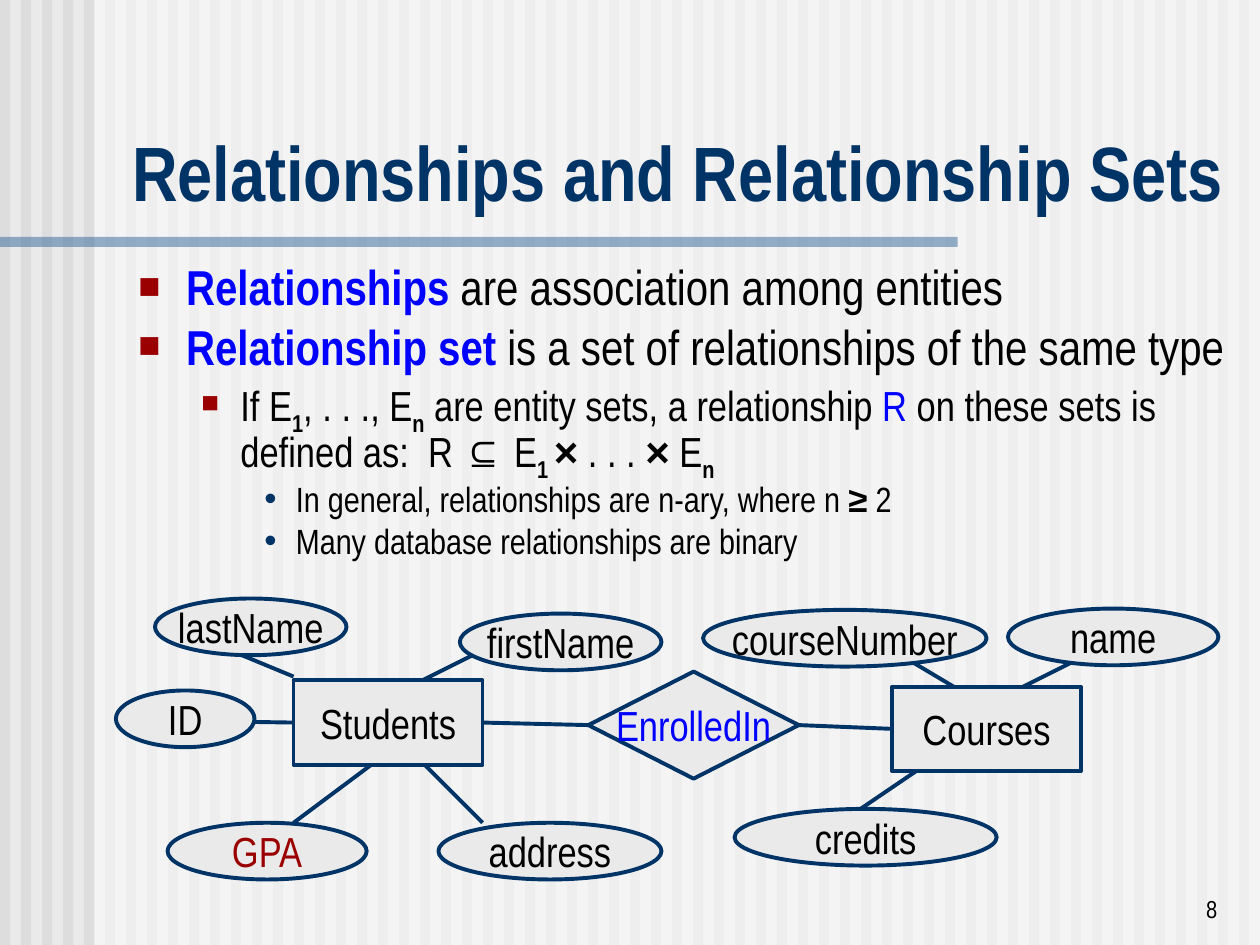
from dataclasses import dataclass

from lxml.etree import SubElement
from pptx import Presentation
from pptx.dml.color import RGBColor
from pptx.enum.shapes import MSO_CONNECTOR, MSO_SHAPE
from pptx.enum.text import MSO_ANCHOR, PP_ALIGN
from pptx.oxml.ns import qn
from pptx.util import Inches, Pt


@dataclass(frozen=True)
class Theme:
    font: str = "Arial Narrow"
    sign: str = "Arial"
    back: str = "EAEAEA"
    stripe: str = "DDDDDD"
    veil: str = "FFFFFF"
    rule: str = "336699"
    navy: str = "003366"
    blue: str = "0000FF"
    red: str = "9A0000"
    ink: str = "000000"
    title: int = 44
    node: int = 24
    page: int = 14
    levels: tuple = (28, 24, 20)
    line: float = 2.25


THEME = Theme()

# Per level: left margin, hanging indent, space before, bullet, its colour, its size
LEVELS = (
    (0.38, 0.38, 7, "■", THEME.red, 75),
    (0.81, 0.31, 6, "■", THEME.red, 70),
    (1.25, 0.25, 5, "•", THEME.navy, 100),
)

# Each point: level, then (text, style) runs
POINTS = (
    (0, (("Relationships", "key"), (" are association among entities", ""))),
    (0, (("Relationship set", "key"),
         (" is a set of relationships of the same type", ""))),
    (1, (("If E", ""), ("1", "sub"), (", . . ., E", ""), ("n", "sub"),
         (" are entity sets, a relationship ", ""), ("R", "blue"),
         (" on these sets is defined as:  R ", ""), ("⊆", "sign"), (" E", ""),
         ("1 ", "sub"), ("×", "sign"), (" . . . ", ""), ("×", "sign"),
         (" E", ""), ("n", "sub"))),
    (2, (("In general, relationships are n-ary, where n ", ""),
         ("≥", "sign"), (" 2", ""))),
    (2, (("Many database relationships are binary", ""),)),
)

OVAL, BOX, GEM = MSO_SHAPE.OVAL, MSO_SHAPE.RECTANGLE, MSO_SHAPE.DIAMOND

# Each node: name, outline, left, top, width, height, text colour
NODES = (
    ("EnrolledIn", GEM, 4.67, 5.33, 1.67, 0.85, THEME.blue),
    ("courseNumber", OVAL, 5.58, 4.84, 2.25, 0.45, THEME.ink),
    ("name", OVAL, 8, 4.83, 1.67, 0.45, THEME.ink),
    ("Courses", BOX, 7.08, 5.45, 1.5, 0.67, THEME.ink),
    ("credits", OVAL, 5.83, 6.42, 2.08, 0.45, THEME.ink),
    ("GPA", OVAL, 1.33, 6.53, 1.58, 0.45, THEME.red),
    ("address", OVAL, 3.48, 6.53, 1.77, 0.45, THEME.ink),
    ("ID", OVAL, 0.92, 5.48, 1.1, 0.45, THEME.ink),
    ("firstName", OVAL, 3.65, 4.87, 1.6, 0.45, THEME.ink),
    ("Students", BOX, 2.33, 5.4, 1.5, 0.67, THEME.ink),
    ("lastName", OVAL, 1.23, 4.75, 1.52, 0.45, THEME.ink),
)

# Lines from attributes to entities
LINKS = (
    (7.33, 6.08, 6.83, 6.42), (7.25, 5.26, 7.67, 5.51),
    (8.5, 5.26, 8, 5.51), (2.33, 6.53, 3, 6.03),
    (3.83, 6.53, 3.33, 6.03), (3.75, 5.2, 3.25, 5.45),
    (1.92, 5.2, 2.33, 5.37),
)

# Diamond side, entity, entity side
JOINS = ((1, "Students", 3), (3, "Courses", 1))


def tint(hue):
    return RGBColor.from_string(hue)


def style(font, size, hue, bold=False, face=THEME.font):
    font.name = face
    font.size = Pt(size)
    font.bold = bold
    font.color.rgb = tint(hue)


def add_shape(slide, kind, area, fill, alpha=None):
    shape = slide.shapes.add_shape(kind, *map(Inches, area))
    shape.shadow.inherit = False
    shape.fill.solid()
    shape.fill.fore_color.rgb = tint(fill)
    shape.line.fill.background()
    if alpha:
        color = shape._element.spPr.find(".//" + qn("a:srgbClr"))
        SubElement(color, qn("a:alpha"), val=str(alpha * 1000))
    return shape


def add_node(slide, name, kind, *rest):
    *area, hue = rest
    shape = add_shape(slide, kind, area, THEME.back)
    shape.line.color.rgb = tint(THEME.navy)
    shape.line.width = Pt(THEME.line)
    frame = shape.text_frame
    frame.text = name
    frame.word_wrap = False
    frame.vertical_anchor = MSO_ANCHOR.MIDDLE
    para = frame.paragraphs[0]
    para.alignment = PP_ALIGN.CENTER
    style(para.runs[0].font, THEME.node, hue)
    return shape


def add_line(slide, *ends):
    line = slide.shapes.add_connector(MSO_CONNECTOR.STRAIGHT, *map(Inches, ends))
    line.line.color.rgb = tint(THEME.navy)
    line.line.width = Pt(THEME.line)
    SubElement(line._element.spPr, qn("a:effectLst"))
    return line


def add_frame(slide, area, anchor):
    frame = slide.shapes.add_textbox(*map(Inches, area)).text_frame
    frame.word_wrap = True
    frame.vertical_anchor = anchor
    return frame


def add_label(slide, text, area, size, hue, bold, align):
    frame = add_frame(slide, area, MSO_ANCHOR.BOTTOM)
    frame.text = text
    para = frame.paragraphs[0]
    para.alignment = align
    style(para.runs[0].font, size, hue, bold)


def add_point(para, level, runs, first):
    left, hang, gap, mark, hue, scale = LEVELS[level]
    para.level = level
    para.line_spacing = 0.8
    para.space_before = Pt(0 if first else gap)
    props = para._p.get_or_add_pPr()
    props.set("marL", str(Inches(left)))
    props.set("indent", str(-Inches(hang)))
    SubElement(SubElement(props, qn("a:buClr")), qn("a:srgbClr"), val=hue)
    SubElement(props, qn("a:buSzPct"), val=str(scale * 1000))
    SubElement(props, qn("a:buFont"), typeface=THEME.sign)
    SubElement(props, qn("a:buChar"), char=mark)
    for text, look in runs:
        run = para.add_run()
        run.text = text
        style(run.font, THEME.levels[level],
              THEME.blue if look in ("key", "blue") else THEME.ink,
              look in ("key", "sub", "sign"),
              THEME.sign if look == "sign" else THEME.font)
        if look == "sub":
            run._r.get_or_add_rPr().set("baseline", "-25000")


def main():
    deck = Presentation()
    deck.slide_width, deck.slide_height = Inches(10), Inches(7.5)
    slide = deck.slides.add_slide(deck.slide_layouts[6])
    # Striped background, veil and title rule
    slide.background.fill.solid()
    slide.background.fill.fore_color.rgb = tint(THEME.back)
    for step in range(60):
        add_shape(slide, BOX, (step / 6, 0, 0.08, 7.5), THEME.stripe)
    add_shape(slide, BOX, (0.75, 0, 9.25, 7.5), THEME.veil, 50)
    add_shape(slide, BOX, (0, 1.88, 7.6, 0.08), THEME.rule, 50)
    # Title and bullet points
    add_label(slide, "Relationships and Relationship Sets", (0.95, 0.94, 8.93, 0.83),
              THEME.title, THEME.navy, True, PP_ALIGN.LEFT)
    body = add_frame(slide, (1, 2.08, 8.87, 2.58), MSO_ANCHOR.TOP)
    for place, (level, runs) in enumerate(POINTS):
        para = body.add_paragraph() if place else body.paragraphs[0]
        add_point(para, level, runs, place == 0)
    # Entity diagram
    for ends in LINKS:
        add_line(slide, *ends)
    nodes = {node[0]: add_node(slide, *node) for node in NODES}
    for out, name, side in JOINS:
        line = add_line(slide, 0, 0, 0, 0)
        line.begin_connect(nodes["EnrolledIn"], out)
        line.end_connect(nodes[name], side)
    add_line(slide, 2.02, 5.73, 2.33, 5.73).end_connect(nodes["Students"], 1)
    # Page number
    add_label(slide, "8", (7.68, 6.88, 2.08, 0.5), THEME.page, THEME.ink,
              False, PP_ALIGN.RIGHT)
    deck.save("out.pptx")


if __name__ == "__main__":
    main()
